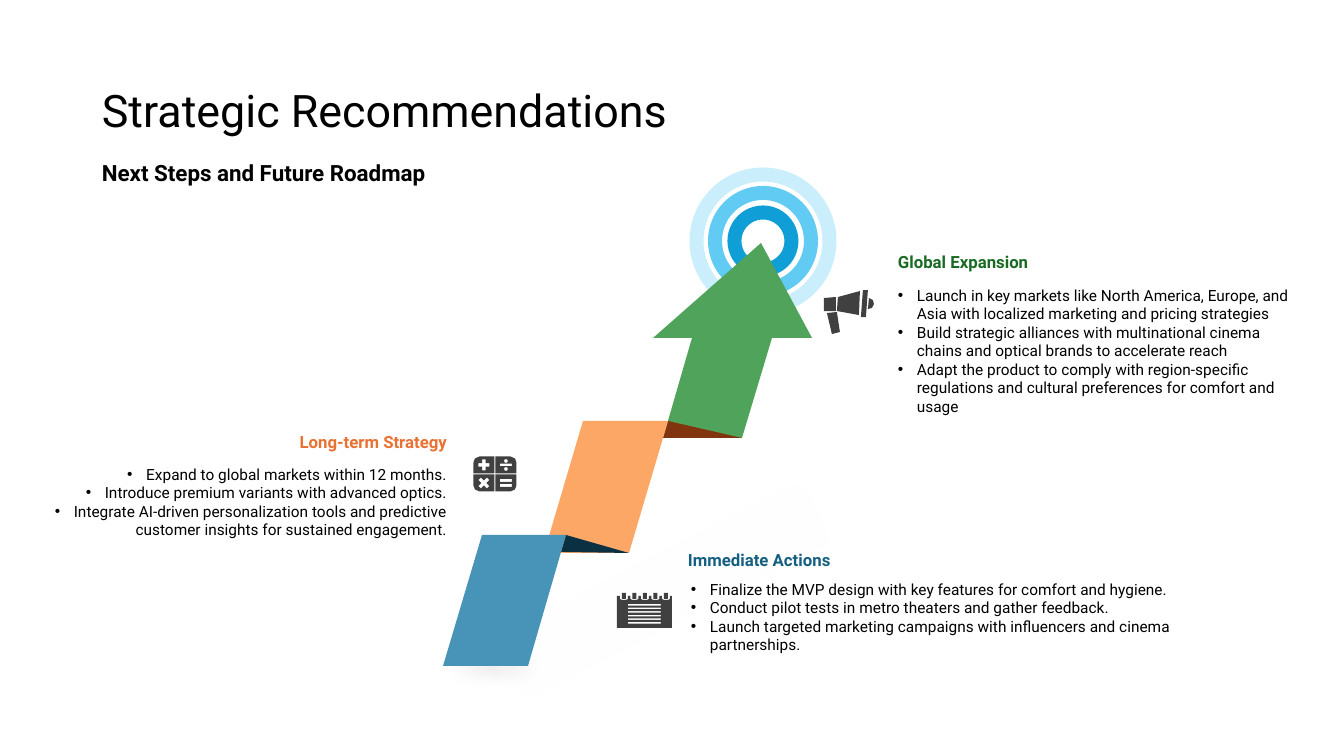
from lxml.etree import SubElement
from pptx import Presentation
from pptx.dml.color import RGBColor as RGB
from pptx.enum.shapes import MSO_SHAPE as FORM
from pptx.enum.text import MSO_ANCHOR as ANCHOR, PP_ALIGN as ALIGN
from pptx.oxml.ns import qn
from pptx.util import Pt

SCALE = 914400 / 100.8
FINE = 10  # steps per px in an outline
COLORS = {
    "black": "000000", "icon": "404040", "shade": "808080", "mist": "D9D9D9",
    "pale": "CAEEFB", "sky": "61CBF4", "azure": "0F9ED5",
    "blue": "4893B8", "orange": "FDA766", "green": "50A35B",
    "navy": "0B3041", "brown": "80350E",
    "teal": "156082", "rust": "E97132", "forest": "196B24",
}


def px(n):
    return round(n * SCALE)


def hue(name):
    return RGB.from_string(COLORS[name])


def box(x, y, w, h):
    """Corners of a rectangle."""
    return (x, y), (x + w, y), (x + w, y + h), (x, y + h)


def star(x, y, *arm):
    """Four-armed sign: each arm point is turned by quarter turns."""
    points = []
    for _ in range(4):
        points += [(x + a, y + b) for a, b in arm]
        arm = [(-b, a) for a, b in arm]
    return points


class Board:
    def __init__(self, font):
        self.font = font
        self.deck = Presentation()
        self.deck.slide_width, self.deck.slide_height = px(1344), px(756)
        self.slide = self.deck.slides.add_slide(self.deck.slide_layouts[6])
        self.shapes = self.slide.shapes

    def paint(self, item, fill, line=None):
        item.shadow.inherit = False
        if fill:
            item.fill.solid()
            item.fill.fore_color.rgb = hue(fill)
        else:
            item.fill.background()
        if line:
            item.line.color.rgb = hue(line)
            item.line.width = Pt(10)
        else:
            item.line.fill.background()
        return item

    def shape(self, form, x, y, w, h, fill=None, line=None):
        item = self.shapes.add_shape(form, px(x), px(y), px(w), px(h))
        return self.paint(item, fill, line)

    def haze(self, form, x, y, w, h, color, stops, soft, turn=0):
        """Soft shade; stops are (place, opacity) pairs in percent."""
        item = self.shape(form, x, y, w, h, color)
        item.rotation = turn
        props = item._element.spPr
        old = props.find(qn("a:solidFill"))
        grad = props.makeelement(qn("a:gradFill"), {"rotWithShape": "1"})
        props.replace(old, grad)
        marks = SubElement(grad, qn("a:gsLst"))
        for place, alpha in stops:
            mark = SubElement(marks, qn("a:gs"), pos=str(place * 1000))
            tint = SubElement(mark, qn("a:srgbClr"), val=COLORS[color])
            SubElement(tint, qn("a:alpha"), val=str(alpha * 1000))
        way = SubElement(grad, qn("a:path"), path="circle")
        SubElement(way, qn("a:fillToRect"), l="50000", t="50000",
                   r="50000", b="50000")
        fx = props.find(qn("a:effectLst"))
        SubElement(fx, qn("a:softEdge"), rad=str(px(soft)))

    def poly(self, fill, *rings):
        """Fill one outline; rings inside another are holes."""
        pen = None
        for ring in rings:
            first, *rest = [(x * FINE, y * FINE) for x, y in ring]
            if pen:
                pen.move_to(*first)
            else:
                pen = self.shapes.build_freeform(*first, scale=SCALE / FINE)
            pen.add_line_segments(rest, close=True)
        return self.paint(pen.convert_to_shape(), fill)

    def text(self, words, x, y, w, h, size=11, color="black", bold=False,
             align=ALIGN.LEFT, anchor=ANCHOR.TOP, space=None, dots=False):
        """Write one paragraph per line of words."""
        frame = self.shapes.add_textbox(px(x), px(y), px(w), px(h)).text_frame
        frame.word_wrap = True
        frame.vertical_anchor = anchor
        frame.text = words
        for par in frame.paragraphs:
            par.alignment = align
            par.line_spacing = space
            font = par.runs[0].font
            font.name, font.size, font.bold = self.font, Pt(size), bold
            font.color.rgb = hue(color)
            if dots:
                props = par._p.get_or_add_pPr()
                props.set("marL", str(px(19)))
                props.set("indent", str(px(-19)))
                SubElement(props, qn("a:buFont"), typeface="Arial")
                SubElement(props, qn("a:buChar"), char="•")

    def target(self, x, y):
        for size, color in ((96, "sky"), (57, "azure"), (133, "pale")):
            self.shape(FORM.OVAL, x - size / 2, y - size / 2, size, size,
                       line=color)

    def ribbon(self):
        self.haze(FORM.OVAL, 326, 644, 333, 48, "shade",
                  ((0, 22), (36, 0), (100, 0)), soft=18)
        self.haze(FORM.FLOWCHART_PROCESS, 481, 547, 362, 86, "mist",
                  ((0, 4), (100, 4)), soft=10, turn=332.6)
        self.poly("green", ((761, 243), (812, 338), (772, 338), (742, 438),
                            (663, 438), (692, 338), (653, 338)))
        self.poly("brown", ((668, 421), (742, 438), (663, 438)))
        self.poly("orange", ((583, 421), (668, 421), (629, 553), (544, 553)))
        self.poly("navy", ((566, 535), (629, 553), (561, 552)))
        self.poly("blue", ((482, 535), (566, 535), (528, 666), (443, 666)))

    def diary(self, x, y):
        page, tabs = [(x, y + 3)], []
        for i in range(5):
            mid = x + 7 + 10.5 * i
            page += [(mid - 4, y + 3), (mid - 4, y + 6), (mid - 2, y + 7),
                     (mid + 2, y + 7), (mid + 4, y + 6), (mid + 4, y + 3)]
            tabs.append(box(mid - 2, y, 4, 6))
        page += [(x + 55, y + 3), (x + 55, y + 35), (x, y + 35)]
        rows = [box(x + 11, y + 11 + 3.6 * i, 33, 1.6) for i in range(6)]
        self.poly("icon", page, *tabs, *rows)

    def sums(self, x, y):
        """Four keys with one rounded corner each, and their signs."""
        keys = []
        for side in (-1, 1):
            for end in (-1, 1):
                keys.append([(x + side * a, y + end * b) for a, b in (
                    (0.5, 0.5), (21.5, 0.5), (21.5, 11.5), (20, 15.5),
                    (15.5, 17.5), (0.5, 17.5))])
        left, right, top, low = x - 11, x + 11, y - 9, y + 9
        signs = [
            star(left, top, (1.8, -5.5), (1.8, -1.8), (5.5, -1.8)),
            star(left, low, (0, -2.5), (3, -5.5), (5.5, -3)),
            box(right - 6, top - 1.3, 12, 2.6),
            star(right, top - 4, (0, -2), (1.4, -1.4)),
            star(right, top + 4, (0, -2), (1.4, -1.4)),
            box(right - 6, low - 4, 12, 3), box(right - 6, low + 1, 12, 3),
        ]
        self.poly("icon", *keys, *signs)

    def horn(self):
        self.poly(
            "icon",
            ((824, 298), (836, 297), (836, 311), (824, 311)),
            ((838, 297), (860, 291), (859, 315), (837, 311)),
            ((863, 290), (868, 290), (866, 317), (861, 317)),
            ((827, 313), (837, 312), (840, 332), (832, 334)),
            ((869, 298), (873, 300), (874, 304), (872, 308), (868, 309)),
        )


def main():
    board = Board("Roboto")
    board.text("Strategic Recommendations", 92, 40, 1159, 146, size=32,
               anchor=ANCHOR.MIDDLE, space=0.9)
    board.text("Next Steps and Future Roadmap", 92, 157, 1159, 524, size=16,
               bold=True, space=0.9)
    board.target(763, 241)
    board.ribbon()
    board.diary(617, 593)
    board.sums(495, 474)
    board.horn()

    # Heading, colour, alignment, heading box, list box, list
    steps = (
        ("Immediate Actions", "teal", ALIGN.LEFT,
         (678, 545, 561, 30), (681, 575, 561, 85),
         "Finalize the MVP design with key features for comfort and hygiene.\n"
         "Conduct pilot tests in metro theaters and gather feedback.\n"
         "Launch targeted marketing campaigns with influencers and cinema "
         "partnerships."),
        ("Long-term Strategy", "rust", ALIGN.RIGHT,
         (8, 427, 449, 30), (0, 460, 457, 85),
         "Expand to global markets within 12 months.\n"
         "Introduce premium variants with advanced optics.\n"
         "Integrate AI-driven personalization tools and predictive customer "
         "insights for sustained engagement."),
        ("Global Expansion", "forest", ALIGN.LEFT,
         (888, 247, 421, 30), (888, 281, 421, 178),
         "Launch in key markets like North America, Europe, and Asia with "
         "localized marketing and pricing strategies\n"
         "Build strategic alliances with multinational cinema chains and "
         "optical brands to accelerate reach\n"
         "Adapt the product to comply with region-specific regulations and "
         "cultural preferences for comfort and usage"),
    )
    for head, color, align, top, area, points in steps:
        board.text(head, *top, size=12, color=color, bold=True, align=align)
        board.text(points, *area, align=align, dots=True)
    board.deck.save("out.pptx")


if __name__ == "__main__":
    main()
